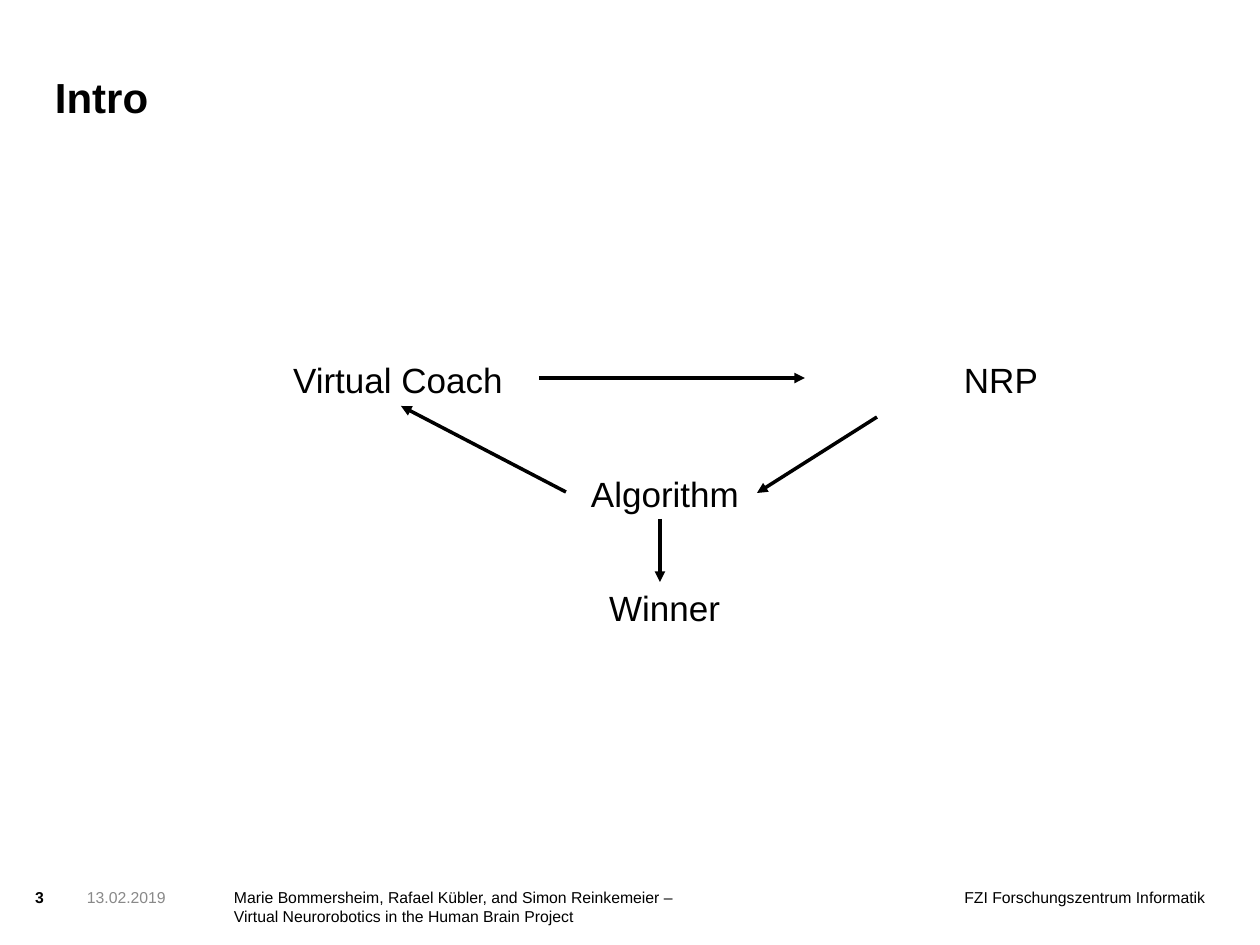
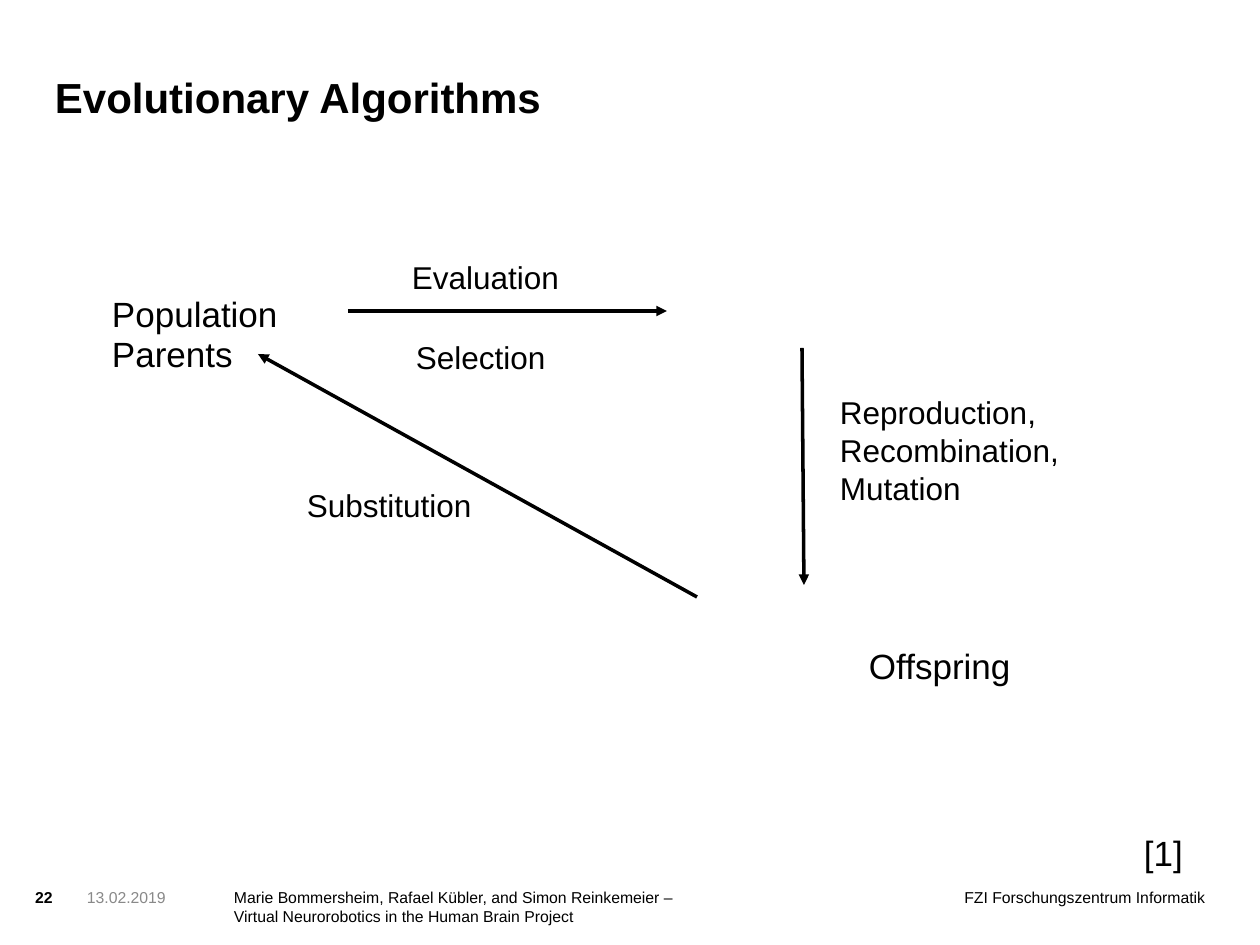
from dataclasses import dataclass

from lxml.etree import SubElement
from pptx import Presentation
from pptx.dml.color import RGBColor
from pptx.enum.shapes import MSO_CONNECTOR
from pptx.enum.text import MSO_ANCHOR, PP_ALIGN
from pptx.oxml.ns import qn
from pptx.slide import Slide
from pptx.util import Emu, Pt

PIXELS_PER_INCH = 126
FONT = "Arial"
BLACK = "000000"
GREY = "898989"
NODE_SIZE = 20
CAPTION_SIZE = 18
FOOTER_TOP = 888
FOOTER_HEIGHT = 50


@dataclass(frozen=True)
class Label:
    lines: tuple[str, ...]
    left: int
    top: int
    width: int
    height: int = 40
    size: int = NODE_SIZE
    color: str = BLACK
    bold: bool = False
    align: PP_ALIGN = PP_ALIGN.LEFT
    anchor: MSO_ANCHOR = MSO_ANCHOR.TOP
    spacing: float = 1.0


@dataclass(frozen=True)
class Arrow:
    start: tuple[int, int]
    end: tuple[int, int]


@dataclass(frozen=True)
class Diagram:
    title: str
    number: int
    labels: tuple[Label, ...]
    arrows: tuple[Arrow, ...]


def px(length: int) -> Emu:
    return Emu(round(length * 914400 / PIXELS_PER_INCH))


def rgb(color: str) -> RGBColor:
    return RGBColor.from_string(color)


def caption(left: int, top: int, width: int, *lines: str) -> Label:
    """Describe the smaller text that stands beside an arrow."""
    return Label(lines, left, top, width, 38 * len(lines), CAPTION_SIZE)


def footer(left: int, width: int, *lines: str, color: str = BLACK,
           bold: bool = False, align: PP_ALIGN = PP_ALIGN.LEFT) -> Label:
    return Label(lines, left, FOOTER_TOP, width, FOOTER_HEIGHT, 9, color, bold, align)


SHARED_FOOTERS = (
    footer(827, 378, "FZI Forschungszentrum Informatik", align=PP_ALIGN.RIGHT),
    footer(234, 583, "Marie Bommersheim, Rafael Kübler, and Simon Reinkemeier –",
           "Virtual Neurorobotics in the Human Brain Project"),
    footer(87, 141, "13.02.2019", color=GREY),
)

DIAGRAMS = (
    Diagram(
        "Intro", 3,
        labels=(
            Label(("Virtual Coach",), 293, 359, 230),
            Label(("NRP",), 964, 359, 100),
            Label(("Algorithm",), 591, 473, 165),
            Label(("Winner",), 609, 587, 130),
        ),
        arrows=(
            Arrow((539, 378), (805, 378)),
            Arrow((877, 417), (757, 493)),
            Arrow((566, 492), (401, 406)),
            Arrow((660, 519), (660, 582)),
        ),
    ),
    Diagram(
        "Evolutionary Algorithms", 22,
        labels=(
            Label(("Population", "Parents"), 112, 296, 190, 76, spacing=0.95),
            Label(("Offspring",), 869, 645, 165),
            Label(("[1]",), 1144, 832, 60),
            caption(412, 258, 165, "Evaluation"),
            caption(416, 338, 150, "Selection"),
            caption(840, 393, 245, "Reproduction,", "Recombination,", "Mutation"),
            caption(307, 486, 190, "Substitution"),
        ),
        arrows=(
            Arrow((348, 311), (667, 311)),
            Arrow((802, 348), (804, 585)),
            Arrow((697, 597), (258, 354)),
        ),
    ),
)


def draw_label(slide: Slide, label: Label) -> None:
    shape = slide.shapes.add_textbox(
        px(label.left), px(label.top), px(label.width), px(label.height))
    frame = shape.text_frame
    frame.word_wrap = True
    frame.vertical_anchor = label.anchor
    frame.margin_left = frame.margin_right = frame.margin_top = frame.margin_bottom = 0
    for index, line in enumerate(label.lines):
        paragraph = frame.add_paragraph() if index else frame.paragraphs[0]
        paragraph.alignment = label.align
        paragraph.line_spacing = label.spacing
        run = paragraph.add_run()
        run.text = line
        run.font.name = FONT
        run.font.size = Pt(label.size)
        run.font.bold = label.bold
        run.font.color.rgb = rgb(label.color)


def draw_arrow(slide: Slide, arrow: Arrow) -> None:
    connector = slide.shapes.add_connector(
        MSO_CONNECTOR.STRAIGHT, *map(px, arrow.start + arrow.end))
    connector.line.color.rgb = rgb(BLACK)
    connector.line.width = Pt(0)
    SubElement(connector.line._get_or_add_ln(), qn("a:tailEnd"), type="triangle")
    SubElement(connector._element.spPr, qn("a:effectLst"))


def draw_diagram(slide: Slide, diagram: Diagram) -> None:
    title = Label((diagram.title,), 55, 54, 946, 68, 24, bold=True,
                  anchor=MSO_ANCHOR.BOTTOM, spacing=0.9)
    number = footer(35, 45, str(diagram.number), bold=True)
    for label in (*SHARED_FOOTERS, number, title, *diagram.labels):
        draw_label(slide, label)
    for arrow in diagram.arrows:
        draw_arrow(slide, arrow)


def main() -> None:
    presentation = Presentation()
    presentation.slide_width = px(1260)
    presentation.slide_height = px(945)
    blank_layout = presentation.slide_layouts[6]
    for diagram in DIAGRAMS:
        draw_diagram(presentation.slides.add_slide(blank_layout), diagram)
    presentation.save("out.pptx")


if __name__ == "__main__":
    main()
